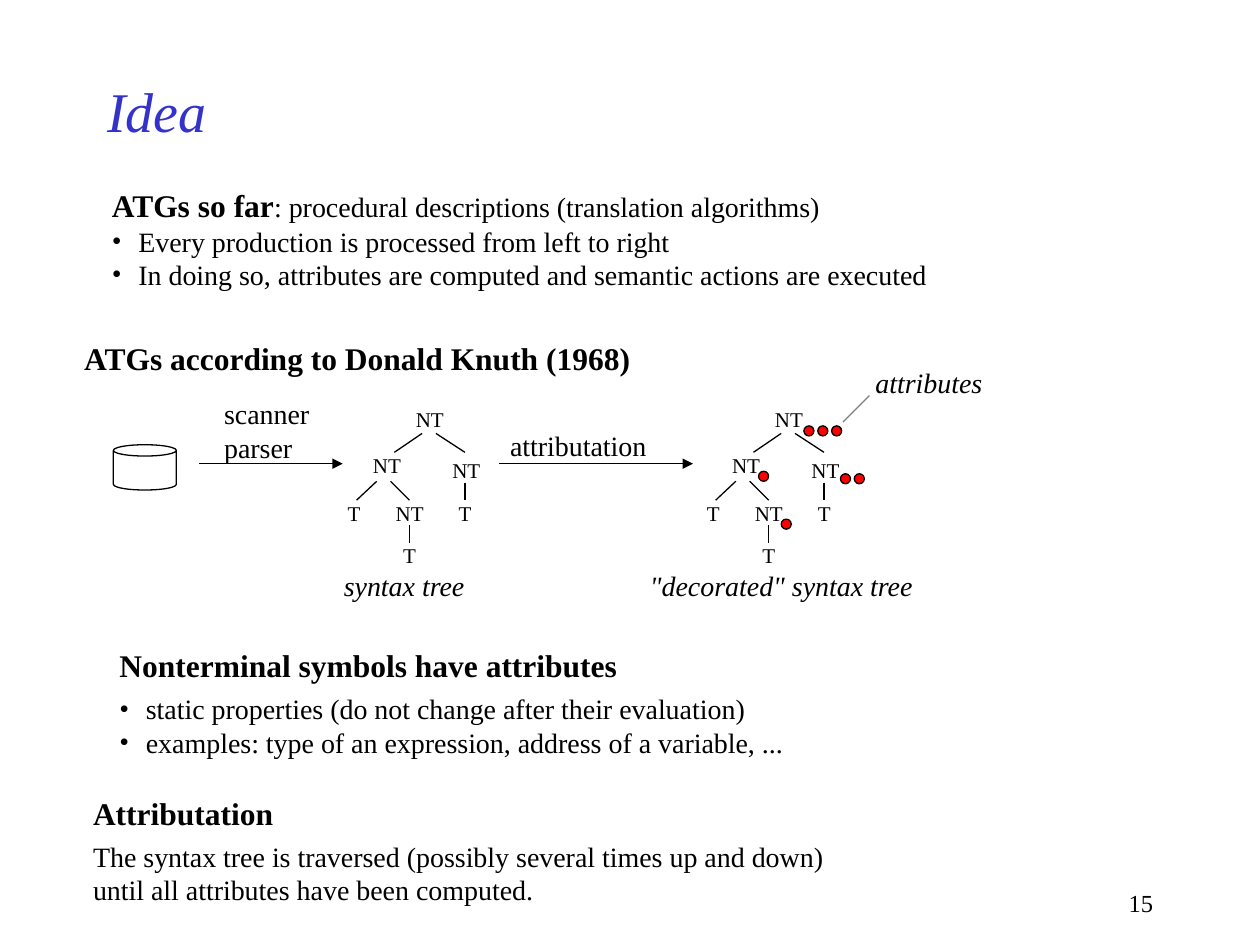
from lxml import etree
from pptx import Presentation
from pptx.dml.color import RGBColor
from pptx.enum.shapes import MSO_CONNECTOR as Connector, MSO_SHAPE as Shape
from pptx.enum.text import MSO_ANCHOR as Anchor, MSO_AUTO_SIZE as AutoSize, PP_ALIGN as Align
from pptx.oxml.ns import qn
from pptx.util import Inches, Pt

FONT = "Times New Roman"
BLACK, BLUE, RED, GREY = "000000", "3333CC", "FF0000", "808080"
HEAD, BODY, NODE = 18, 16, 12
HANG = Inches(0.21)
color = RGBColor.from_string

deck = Presentation()
deck.slide_width, deck.slide_height = Inches(10), Inches(7.5)
page = deck.slides.add_slide(deck.slide_layouts[5])


def add_text(at, paragraphs, size=BODY, italic=False, inset=True, bulleted=(), after_first=0):
    """Add a text box; a paragraph is a list of (text, bold) runs, bold ones in heading size."""
    box = page.shapes.add_textbox(*map(Inches, at))
    frame = box.text_frame
    frame.word_wrap = False
    frame.auto_size = AutoSize.SHAPE_TO_FIT_TEXT
    if not inset:
        frame.margin_left = frame.margin_right = frame.margin_top = frame.margin_bottom = 0
    for index, runs in enumerate(paragraphs):
        para = frame.paragraphs[0] if index == 0 else frame.add_paragraph()
        if index in bulleted:
            props = para._p.get_or_add_pPr()
            props.set("marL", str(HANG))
            props.set("indent", str(-HANG))
            etree.SubElement(props, qn("a:buFont")).set("typeface", FONT)
            etree.SubElement(props, qn("a:buChar")).set("char", "•")
        if index == 0 and after_first:
            para.space_after = Pt(after_first)
        for text, bold in runs:
            span = para.add_run()
            span.text = text
            span.font.name = FONT
            span.font.size = Pt(HEAD if bold else size)
            span.font.bold = bold
            span.font.italic = italic
            span.font.color.rgb = color(BLACK)
    return box


def add_line(start, end, line_color=BLACK, arrow=False):
    line = page.shapes.add_connector(Connector.STRAIGHT, *map(Inches, start + end))
    line.line.color.rgb = color(line_color)
    line.line.width = Pt(0.75)
    if arrow:
        etree.SubElement(line.line._get_or_add_ln(), qn("a:tailEnd")).set("type", "triangle")
    etree.SubElement(line._element.spPr, qn("a:effectLst"))


# Title
title = page.shapes.title
title.left, title.top, title.width, title.height = map(Inches, (0.75, 0.5, 7.5, 0.75))
title.text_frame.vertical_anchor = Anchor.MIDDLE
para = title.text_frame.paragraphs[0]
para.alignment = Align.LEFT
span = para.add_run()
span.text = "Idea"
span.font.name = FONT
span.font.size = Pt(32)
span.font.italic = True
span.font.color.rgb = color(BLUE)

# Text blocks
add_text((0.79, 1.43, 6.67, 0.94), [
    [("ATGs so far", True), (": procedural descriptions (translation algorithms)", False)],
    [("Every production is processed from left to right", False)],
    [("In doing so, attributes are computed and semantic actions are executed", False)],
], bulleted=(1, 2))
add_text((0.57, 2.64, 4.97, 0.4), [[("ATGs according to Donald Knuth (1968)", True)]])
add_text((0.85, 5.08, 5.47, 1), [
    [("Nonterminal symbols have attributes", True)],
    [("static properties (do not change after their evaluation)", False)],
    [("examples: type of an expression, address of a variable, ...", False)],
], bulleted=(1, 2), after_first=4.5)
add_text((0.64, 6.25, 6.47, 1), [
    [("Attributation", True)],
    [("The syntax tree is traversed (possibly several times up and down)", False)],
    [("until all attributes have been computed.", False)],
], after_first=4.5)

# Source file and processing steps
source = page.shapes.add_shape(Shape.CAN, *map(Inches, (0.9, 3.53, 0.5, 0.36)))
source.shadow.inherit = False
source.adjustments[0] = 0.25
source.fill.background()
source.line.color.rgb = color(BLACK)
source.line.width = Pt(0.75)

add_line((1.58, 3.68), (2.72, 3.68), arrow=True)
add_line((3.96, 3.68), (5.5, 3.68), arrow=True)
add_text((1.68, 3.1, 0.92, 0.64), [[("scanner", False)], [("parser", False)]])
add_text((3.95, 3.35, 1.3, 0.37), [[("attributation", False)]])

# Syntax tree, drawn plain and decorated: node = label, left, top
nodes = [
    ("NT", 3.3, 3.23),
    ("NT", 2.96, 3.59), ("NT", 3.59, 3.63),
    ("T", 2.76, 3.97), ("NT", 3.14, 3.97), ("T", 3.64, 3.97),
    ("T", 3.2, 4.31),
]
branches = [
    ((3.35, 3.44), (3.13, 3.59)), ((3.46, 3.44), (3.69, 3.59)),
    ((2.99, 3.82), (2.83, 3.97)), ((3.1, 3.82), (3.25, 3.97)),
    ((3.69, 3.83), (3.69, 3.97)), ((3.25, 4.17), (3.25, 4.31)),
]
node_width = {"NT": 0.25, "T": 0.12}
for shift in (0, 2.85):
    for label, left, top in nodes:
        add_text((left + shift, top, node_width[label], 0.2), [[(label, False)]],
                 size=NODE, inset=False)
    for (x1, y1), (x2, y2) in branches:
        add_line((x1 + shift, y1), (x2 + shift, y2))

# Attributes: first dot of each row and the number of dots
for left, top, count in [(6.38, 3.38, 3), (6.02, 3.74, 1), (6.67, 3.76, 2), (6.2, 4.12, 1)]:
    for index in range(count):
        dot = page.shapes.add_shape(
            Shape.OVAL, *map(Inches, (left + index * 0.11, top, 0.08, 0.08)))
        dot.shadow.inherit = False
        dot.fill.solid()
        dot.fill.fore_color.rgb = color(RED)
        dot.line.color.rgb = color(BLACK)
        dot.line.width = Pt(0.75)
add_line((6.69, 3.35), (6.9, 3.14), line_color=GREY)

# Captions
for at, caption in [
    ((2.63, 4.46, 1.18, 0.37), "syntax tree"),
    ((5.06, 4.46, 2.31, 0.37), '"decorated" syntax tree'),
    ((6.85, 2.85, 1.07, 0.37), "attributes"),
]:
    add_text(at, [[(caption, False)]], italic=True)

# Page number
number = add_text((7.17, 7, 2.08, 0.33), [[("15", False)]], size=14)
number.text_frame.word_wrap = True
number.text_frame.paragraphs[0].alignment = Align.RIGHT

deck.save("out.pptx")
